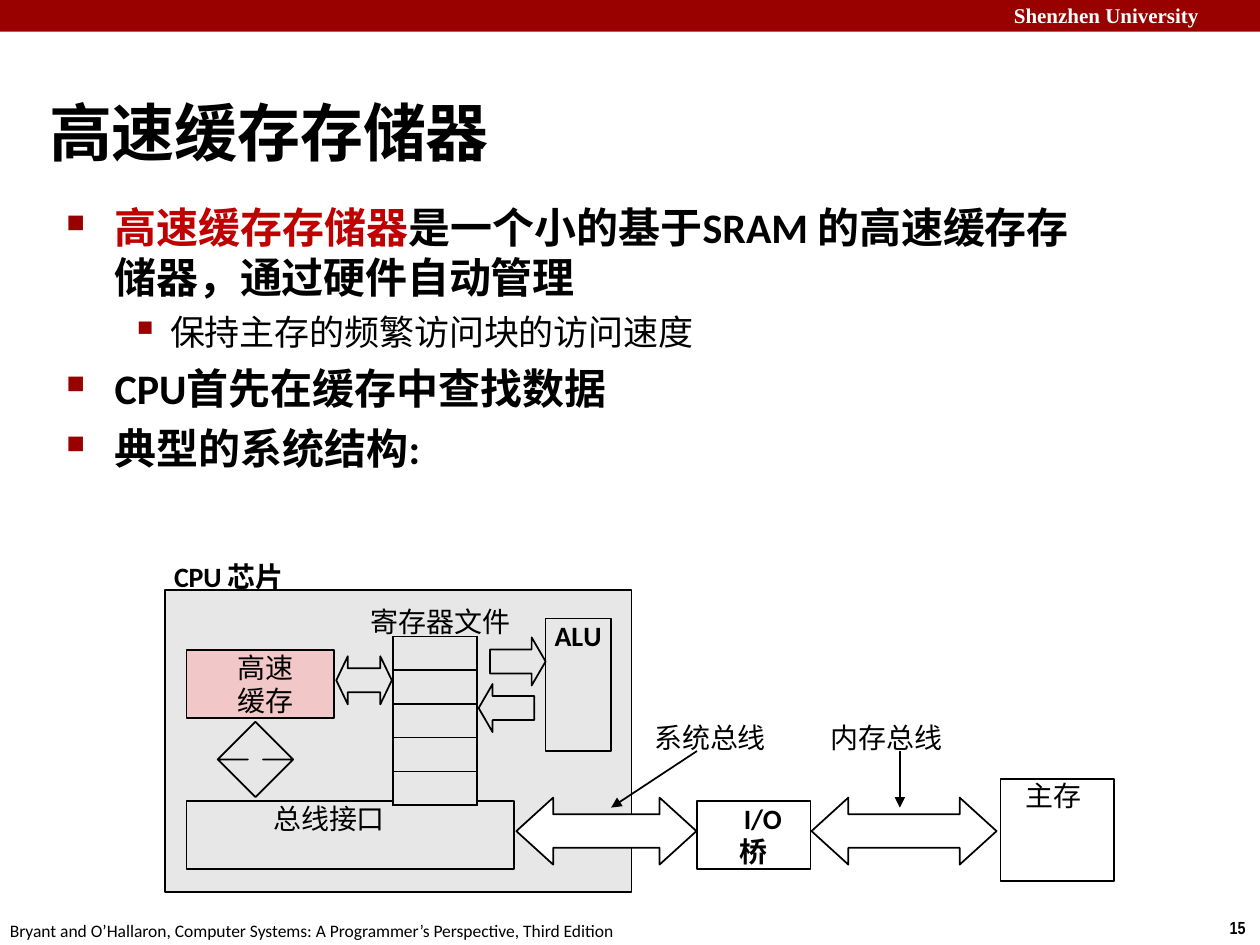
from lxml import etree
from pptx import Presentation
from pptx.dml.color import RGBColor
from pptx.enum.shapes import MSO_CONNECTOR, MSO_SHAPE
from pptx.enum.text import MSO_ANCHOR, MSO_AUTO_SIZE, PP_ALIGN
from pptx.oxml.ns import qn
from pptx.util import Cm, Pt

RECT = MSO_SHAPE.RECTANGLE
RIGHT, LEFT = MSO_SHAPE.RIGHT_ARROW, MSO_SHAPE.LEFT_ARROW
BOTH, UP_DOWN = MSO_SHAPE.LEFT_RIGHT_ARROW, MSO_SHAPE.UP_DOWN_ARROW
STRAIGHT = MSO_CONNECTOR.STRAIGHT
TOP, MIDDLE = MSO_ANCHOR.TOP, MSO_ANCHOR.MIDDLE
START, CENTER = PP_ALIGN.LEFT, PP_ALIGN.CENTER
NO_FIT = MSO_AUTO_SIZE.NONE

COLORS = {"bar": "990000", "accent": "C00000", "ink": "000000",
          "paper": "FFFFFF", "chip": "E7E7E7", "cache": "F1C7C7"}


def rgb(name):
    return RGBColor.from_string(COLORS[name])


class Deck:
    """Holds the slide style and draws each kind of element on the current slide."""

    def __init__(self, prs, font="Calibri", size=16):
        self.font, self.size = font, size
        self.s = prs.slides.add_slide(prs.slide_layouts[5])

    def frame(self, tf, anchor=TOP, inset=0, top=0, wrap=True):
        tf.auto_size, tf.word_wrap, tf.vertical_anchor = NO_FIT, wrap, anchor
        tf.margin_left = tf.margin_right = Cm(inset)
        tf.margin_top, tf.margin_bottom = Cm(top), Cm(inset / 2)

    def para(self, p, runs, size=None, bold=False, color="ink", font=None,
             align=START, left=0, first=0, right=0, before=0):
        p.alignment, p.space_before = align, Pt(before)
        pPr = p._p.get_or_add_pPr()
        for key, value in (("marL", left), ("indent", first), ("marR", right)):
            pPr.set(key, str(int(Cm(value))))
        for text, spacing, *own in runs:
            r = p.add_run()
            r.text = text
            r.font.name = font or self.font
            r.font.size, r.font.bold = Pt(size or self.size), bold
            r.font.color.rgb = rgb(own[0] if own else color)
            if spacing:
                r._r.get_or_add_rPr().set("spc", str(round(spacing * 100)))

    def bullet(self, p, char, percent):
        pPr = p._p.get_or_add_pPr()
        clr = etree.SubElement(pPr, qn("a:buClr"))
        etree.SubElement(clr, qn("a:srgbClr"), val=COLORS["bar"])
        etree.SubElement(pPr, qn("a:buSzPct"), val=str(percent * 1000))
        etree.SubElement(pPr, qn("a:buChar"), char=char)

    def title(self, box, runs):
        sp = self.s.shapes.title
        sp.left, sp.top, sp.width, sp.height = map(Cm, box)
        self.frame(sp.text_frame, MIDDLE, top=0.79)
        self.para(sp.text_frame.paragraphs[0], runs, 36, True)

    def text(self, box, runs, inset=0, wrap=True, **style):
        sp = self.s.shapes.add_textbox(*map(Cm, box))
        self.frame(sp.text_frame, inset=inset, top=inset / 2, wrap=wrap)
        self.para(sp.text_frame.paragraphs[0], runs, **style)

    def outline(self, box, items):
        tf = self.s.shapes.add_textbox(*map(Cm, box)).text_frame
        self.frame(tf)
        for i, (level, before, runs) in enumerate(items):
            p = tf.add_paragraph() if i else tf.paragraphs[0]
            p.level = level
            left, first, size, char, percent = ((0.99, -0.97, 24, "■", 60),
                                                (2.11, -0.79, 20, "▪", 110))[level]
            self.para(p, runs, size, level == 0, left=left, first=first, before=before)
            self.bullet(p, char, percent)

    def shape(self, kind, box, fill=None, line=True, adjust=(), lines=(), **style):
        sp = self.s.shapes.add_shape(kind, *map(Cm, box))
        sp.shadow.inherit = False
        for i, value in enumerate(adjust):
            sp.adjustments[i] = value
        if fill:
            sp.fill.solid()
            sp.fill.fore_color.rgb = rgb(fill)
        else:
            sp.fill.background()
        if line:
            sp.line.color.rgb, sp.line.width = rgb("ink"), Pt(1)
        else:
            sp.line.fill.background()
        tf = sp.text_frame
        self.frame(tf)
        for i, runs in enumerate(lines):
            self.para(tf.add_paragraph() if i else tf.paragraphs[0], runs, **style)

    def pointer(self, *ends):
        c = self.s.shapes.add_connector(STRAIGHT, *map(Cm, ends))
        c.line.color.rgb, c.line.width = rgb("ink"), Pt(1)
        etree.SubElement(c.line._get_or_add_ln(), qn("a:tailEnd"), type="triangle")
        etree.SubElement(c._element.spPr, qn("a:effectLst"))

    def stack(self, left, top, width, height, rows):
        table = self.s.shapes.add_table(
            rows, 1, Cm(left), Cm(top), Cm(width), Cm(height * rows)).table
        table.first_row = table.horz_banding = False
        for cell in table.iter_cells():
            cell.margin_left = cell.margin_right = cell.margin_top = cell.margin_bottom = 0
            p = cell.text_frame.paragraphs[0]._p
            etree.SubElement(p, qn("a:endParaRPr"), sz="1000")
            tcPr = cell._tc.get_or_add_tcPr()
            for side in ("lnL", "lnR", "lnT", "lnB"):
                ln = etree.SubElement(tcPr, qn(f"a:{side}"), w=str(Pt(1)))
                solid = etree.SubElement(ln, qn("a:solidFill"))
                etree.SubElement(solid, qn("a:srgbClr"), val=COLORS["ink"])
            cell.fill.solid()
            cell.fill.fore_color.rgb = rgb("chip")


def main():
    prs = Presentation()
    prs.slide_width, prs.slide_height = Cm(25.4), Cm(19.05)
    d = Deck(prs)

    d.shape(RECT, (0, 0, 25.4, 0.64), "bar", line=False)
    d.text((20.19, -0.08, 5.38, 0.76), [("Shenzhen University", 0)], inset=0.25,
           size=12, bold=True, color="paper", font="Times New Roman")
    d.text((24.54, 18.36, 0.86, 0.69), [("15", 0)], inset=0.25, wrap=False,
           size=10, bold=True, font="Arial Narrow")
    d.text((-0.05, 18.42, 12.93, 0.69),
           [("Bryant and O’Hallaron, Computer Systems: "
             "A Programmer’s Perspective, Third Edition", 0)],
           inset=0.25, wrap=False, size=10)

    d.title((0.99, 1.09, 21.08, 2.34), [("高速缓存存储器", -0.1)])
    d.outline((1.32, 4.06, 20.37, 5.49), [
        (0, 0, [("高速缓存存储器", 0, "accent"), ("是一个小的基于SRAM ", 0),
                ("的高速缓存存储器，通过硬件自动管理", -0.1)]),
        (1, 5, [("保持主存的频繁访问块的访问速度", -0.1)]),
        (0, 5.5, [("CPU首先在缓存中查找数据", 0)]),
        (0, 5.5, [("典型的系统结构", 0), (":", -0.1)]),
    ])

    d.shape(RECT, (3.33, 11.89, 9.4, 6.1), "chip")
    d.shape(RECT, (20.17, 15.7, 2.29, 2.06), lines=[[("主存", 0)]],
            left=0.13, first=0.38)
    d.shape(RECT, (14.05, 16.15, 2.29, 1.37), lines=[[("I/O 桥", -0.1)]],
            bold=True, align=CENTER, left=0.38, first=0.36, right=0.38)
    d.shape(RECT, (3.76, 16.15, 6.6, 1.37), "chip", lines=[[("总线接口", 0)]], left=1.75)
    d.shape(RECT, (11, 12.47, 1.32, 2.67), "chip", bold=True, left=0.18,
            lines=[[("A", -0.1), ("L", -0.5), ("U", -0.1)]])
    d.shape(RECT, (3.76, 13.11, 2.97, 1.37), "cache",
            lines=[[("高速", 0)], [("缓存", 0)]],
            align=CENTER, left=0.48, first=0.23, right=0.48)

    for kind, box, head, fill in (
            (RIGHT, (9.88, 12.85, 1.12, 0.97), 0.29, None),
            (LEFT, (9.65, 13.79, 1.12, 0.97), 0.29, None),
            (BOTH, (6.78, 13.23, 1.12, 0.97), 0.24, None),
            (UP_DOWN, (4.39, 14.55, 1.52, 1.52), 0.2, None),
            (BOTH, (10.41, 16.08, 3.63, 1.35), 0.55, "paper"),
            (BOTH, (16.36, 16.08, 3.73, 1.35), 0.55, None)):
        d.shape(kind, box, fill, adjust=(0.5, head))

    d.text((3.48, 11.28, 2.41, 0.69), [("CPU ", -0.1), ("芯片", 0.1)], bold=True, left=0.03)
    for label, left, top, width in (("寄存器文件", 7.44, 12.19, 2.97),
                                    ("系统总线", 13.16, 14.53, 2.69),
                                    ("内存总线", 16.71, 14.53, 3.05)):
        d.text((left, top, width, 0.69), [(label, 0)], left=0.03)
    d.pointer(14.05, 15.14, 12.32, 16.28)
    d.pointer(18.14, 15.14, 18.14, 16.28)
    d.stack(7.92, 12.83, 1.7, 0.68, 5)

    prs.save("out.pptx")


if __name__ == "__main__":
    main()
